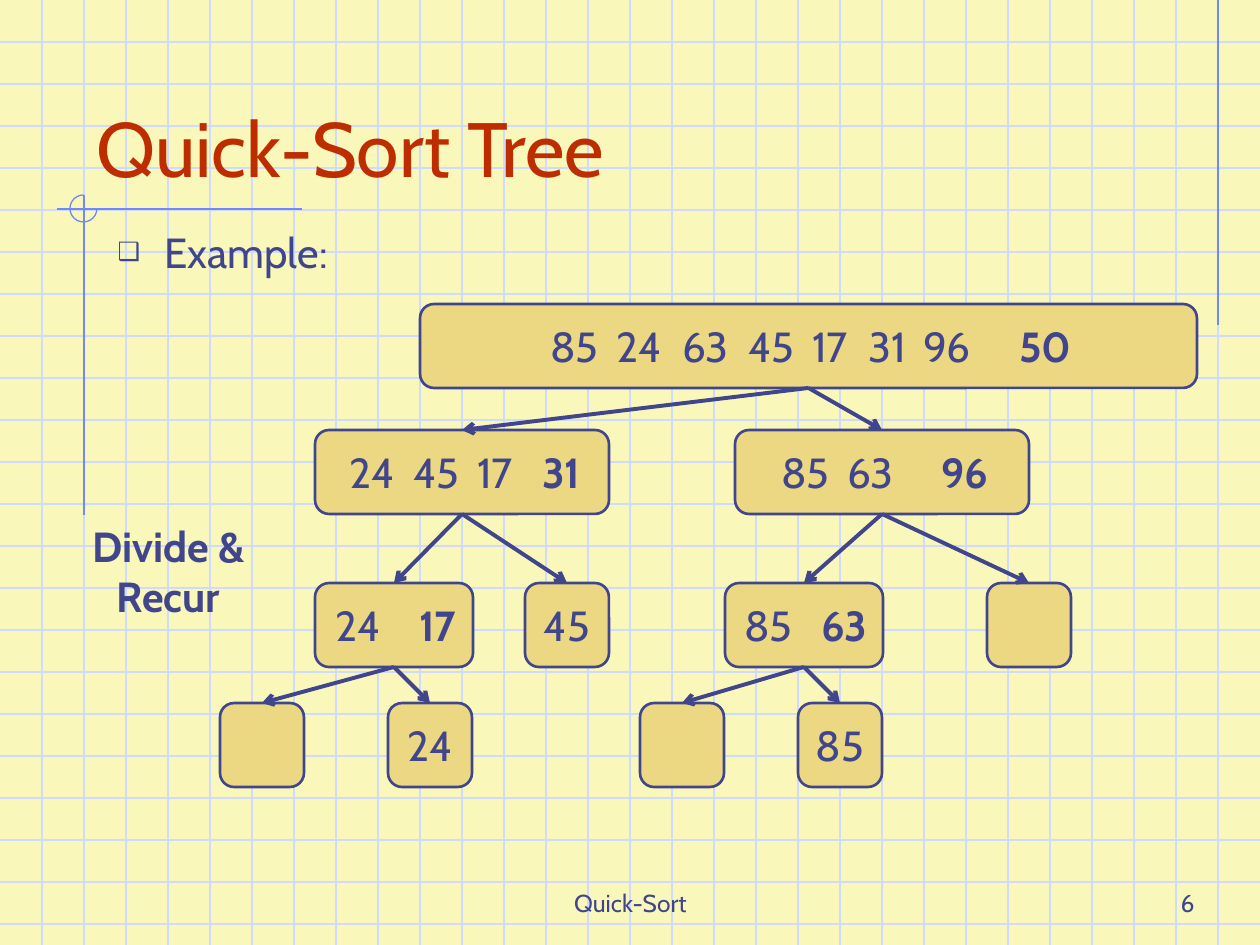
from lxml import etree
from pptx import Presentation
from pptx import util as u
from pptx.dml.color import RGBColor
from pptx.enum import shapes, text
from pptx.oxml.ns import qn

INK = RGBColor(0x40, 0x45, 0x8C)
RED = RGBColor(0xBE, 0x2D, 0x00)
SAND = RGBColor(0xEC, 0xD8, 0x82)
PAPER = RGBColor(0xF9, 0xF8, 0xBA)
GRID = RGBColor(0xCF, 0xDB, 0xFD)
ACCENT = RGBColor(0x6F, 0x89, 0xF7)

W, H, STEP = 1260, 945, 42
ROWS = (304, 430, 583, 703)
BOX_H = 84

# name: (parent, row, left, width, numbers, left edge of each number)
NODES = {
    "root": (None, 0, 420, 777, "85 24 63 45 17 31 96 50",
             (546, 612, 678, 744, 808, 864, 919, 1015)),
    "low": ("root", 1, 315, 294, "24 45 17 31", (345, 409, 473, 538)),
    "high": ("root", 1, 735, 294, "85 63 96", (777, 843, 937)),
    "low-low": ("low", 2, 315, 158, "24 17", (331, 415)),
    "low-high": ("low", 2, 525, 84, "45", ()),
    "high-low": ("high", 2, 725, 158, "85 63", (740, 817)),
    "high-high": ("high", 2, 987, 84, "", ()),
    "low-low-low": ("low-low", 3, 220, 84, "", ()),
    "low-low-high": ("low-low", 3, 388, 84, "24", ()),
    "high-low-low": ("high-low", 3, 640, 84, "", ()),
    "high-low-high": ("high-low", 3, 798, 84, "85", ()),
}
ACCENT_LINES = [(1218, 0, 1218, 325), (57, 209, 302, 209), (84, 195, 84, 515)]
LABELS = [
    ("Quick-Sort", (431, 861, 399, 63), dict(size=14, anchor="BOTTOM")),
    ("6", (945, 861, 262, 63), dict(size=14, align="RIGHT", anchor="BOTTOM")),
    ("Divide & Recur", (53, 514, 231, 113), dict(bold=True)),
]


def px(n):
    return u.Emu(round(n * 914400 / 126))


def place(sp, left, top, width, height):
    sp.left, sp.top, sp.width, sp.height = map(px, (left, top, width, height))


def write(sp, *runs, size=24, color=INK, bold=False, align="CENTER", anchor="TOP"):
    tf = sp.text_frame
    tf.word_wrap = True
    tf.auto_size = text.MSO_AUTO_SIZE.NONE
    tf.vertical_anchor = getattr(text.MSO_ANCHOR, anchor)
    p = tf.paragraphs[0]
    p.alignment = getattr(text.PP_ALIGN, align)
    p.space_before = u.Pt(0)
    for i, run in enumerate(runs):
        r = p.add_run()
        r.text = run
        r.font.name = "Cabin"
        r.font.size = u.Pt(size)
        r.font.color.rgb = color
        r.font.bold = bold or i > 0
    return p


def add_line(s, ends, color, width=0.75):
    c = s.shapes.add_connector(shapes.MSO_CONNECTOR.STRAIGHT, *map(px, ends))
    c.line.color.rgb = color
    c.line.width = u.Pt(width)
    etree.SubElement(c.element.spPr, qn("a:effectLst"))
    return c


def add_tabs(p, stops):
    tabs = etree.SubElement(p._p.get_or_add_pPr(), qn("a:tabLst"))
    for stop in stops:
        etree.SubElement(tabs, qn("a:tab"), pos=str(px(stop)), algn="l")


def add_bullet(p, char):
    pPr = p._p.get_or_add_pPr()
    pPr.set("marL", str(px(47)))
    pPr.set("indent", str(px(-47)))
    clr = etree.SubElement(pPr, qn("a:buClr"))
    etree.SubElement(clr, qn("a:srgbClr"), val=str(INK))
    etree.SubElement(pPr, qn("a:buSzPct"), val="60000")
    etree.SubElement(pPr, qn("a:buFont"), typeface="Cabin")
    etree.SubElement(pPr, qn("a:buChar"), char=char)


def add_background(s):
    s.background.fill.solid()
    s.background.fill.fore_color.rgb = PAPER
    for y in range(STEP, H, STEP):
        add_line(s, (0, y, W, y), GRID)
    for x in range(STEP, W, STEP):
        add_line(s, (x, 0, x, H), GRID)
    for ends in ACCENT_LINES:
        add_line(s, ends, ACCENT)
    arc = s.shapes.add_shape(shapes.MSO_SHAPE.ARC, *map(px, (70, 195, 27, 27)))
    arc.adjustments[0], arc.adjustments[1] = 0, 162
    arc.shadow.inherit = False
    arc.fill.background()
    arc.line.color.rgb = ACCENT
    arc.line.width = u.Pt(0.75)


def add_node(s, row, left, width, numbers, starts):
    sp = s.shapes.add_shape(shapes.MSO_SHAPE.ROUNDED_RECTANGLE,
                            *map(px, (left, ROWS[row], width, BOX_H)))
    sp.shadow.inherit = False
    sp.fill.solid()
    sp.fill.fore_color.rgb = SAND
    sp.line.color.rgb = INK
    sp.line.width = u.Pt(1.5)
    if starts:
        *rest, pivot = numbers.split()
        p = write(sp, "\t".join(rest) + "\t", pivot, align="LEFT", anchor="MIDDLE")
        sp.text_frame.margin_left = px(starts[0] - left)
        sp.text_frame.margin_right = 0
        add_tabs(p, [x - starts[0] for x in starts[1:]])
    elif numbers:
        write(sp, numbers, anchor="MIDDLE")
    return sp


def add_arrow(s, parent, child):
    c = add_line(s, (0, 0, 0, 0), INK, 2.25)
    c.begin_connect(parent, 2)
    c.end_connect(child, 0)
    etree.SubElement(c.line._get_or_add_ln(), qn("a:tailEnd"), type="arrow")


def main():
    prs = Presentation()
    prs.slide_width, prs.slide_height = px(W), px(H)
    s = prs.slides.add_slide(prs.slide_layouts[1])
    title, body = s.placeholders
    add_background(s)

    for ph in (title, body):
        s.shapes._spTree.append(ph.element)
    place(title, 84, 42, 1071, 157)
    write(title, "Quick-Sort Tree", size=44, color=RED, align="LEFT", anchor="BOTTOM")
    place(body, 105, 220, 284, 95)
    add_bullet(write(body, "Example:", align="LEFT"), "❑")

    for label, box, fmt in LABELS:
        write(s.shapes.add_textbox(*map(px, box)), label, **fmt)

    boxes = {}
    for name, (parent, *node) in NODES.items():
        boxes[name] = add_node(s, *node)
        if parent:
            add_arrow(s, boxes[parent], boxes[name])

    prs.save("out.pptx")


if __name__ == "__main__":
    main()
